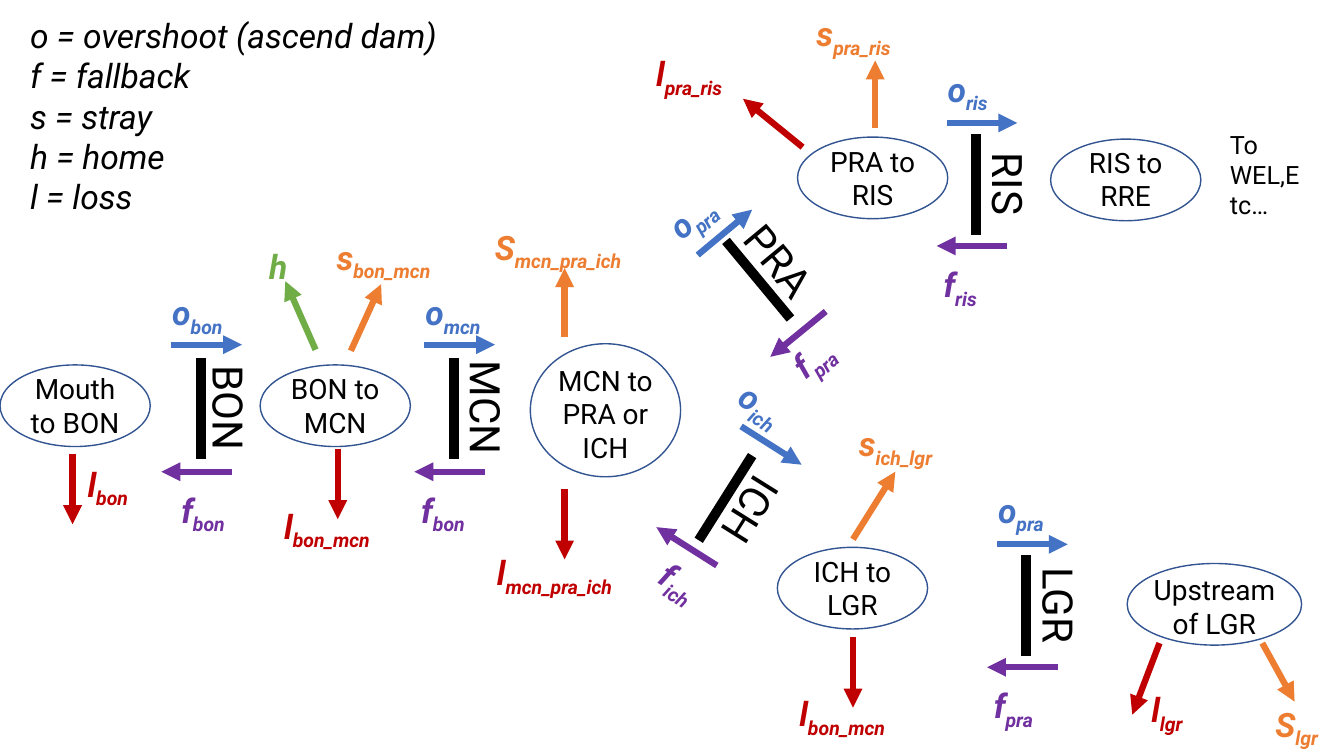
from dataclasses import dataclass

import pptx
import pptx.dml.color
import pptx.enum.shapes
import pptx.enum.text
import pptx.oxml
import pptx.oxml.ns
import pptx.util

Inches = pptx.util.Inches
FONT = "Roboto"
BLACK, OUTLINE = "000000", "325491"
BLUE, PURPLE, RED, ORANGE, GREEN = "4472C4", "7030A0", "C00000", "ED7D31", "70AD47"


@dataclass
class Reach:
    """A river reach: an ellipse with its name centred on it."""
    name: str
    left: float
    top: float
    width: float = 1.49
    height: float = 0.81
    text_width: float = 1.13
    text_height: float = 0.77
    text_shift: float = 0


@dataclass
class Label:
    """A transition symbol with a subscript."""
    symbol: str
    subscript: str
    left: float
    top: float
    width: float
    color: str
    rotation: float = 0


@dataclass
class Line:
    x1: float
    y1: float
    x2: float
    y2: float
    color: str = BLACK


@dataclass
class DamName:
    name: str
    center_x: float
    center_y: float
    rotation: float = 90


@dataclass
class UprightDam:
    """A vertical wall with an overshoot above it and a fallback below it."""
    name: str
    x: float
    top: float
    gap: float
    overshoot: str
    fallback: str
    name_shift: float = 0.32
    fallback_shift: float = -0.42


REACHES = [
    Reach("Mouth to BON", 0, 3.62),
    Reach("BON to MCN", 2.58, 3.62),
    Reach("MCN to PRA or ICH", 5.26, 3.41, height=1.32,
          text_width=1.4, text_height=1.11, text_shift=0.04),
    Reach("PRA to RIS", 7.91, 1.36),
    Reach("ICH to LGR", 7.71, 5.43),
    Reach("Upstream of LGR", 11.18, 5.59, width=1.73, text_width=1.5, text_shift=0.02),
    Reach("RIS to RRE", 10.42, 1.38, text_shift=-0.01),
]

UPRIGHT_DAMS = [
    UprightDam("BON", 1.99, 3.55, 0.13, "bon", "bon", 0.28, -0.29),
    UprightDam("MCN", 4.5, 3.55, 0.13, "mcn", "bon"),
    UprightDam("RIS", 9.68, 1.33, 0.11, "ris", "ris"),
    UprightDam("LGR", 10.18, 5.51, 0.11, "pra", "pra"),
]

TILTED_NAMES = [DamName("ICH", 7.45, 5.06, 122.1), DamName("PRA", 7.73, 2.58, 50.3)]
TILTED_WALLS = [Line(7.46, 4.52, 6.93, 5.36), Line(7.2, 2.39, 7.84, 3.16)]

ARROWS = [
    # Tilted dams
    Line(7.11, 5.61, 6.51, 5.23, PURPLE),
    Line(7.35, 4.23, 7.95, 4.61, BLUE),
    Line(8.19, 3.09, 7.64, 3.54, PURPLE),
    Line(6.92, 2.53, 7.46, 2.08, BLUE),
    # Home, stray and loss
    Line(3.13, 3.47, 2.83, 2.79, GREEN),
    Line(3.48, 3.48, 3.78, 2.82, ORANGE),
    Line(5.6, 3.34, 5.6, 2.66, ORANGE),
    Line(8.46, 5.35, 8.88, 4.68, ORANGE),
    Line(8.68, 1.27, 8.68, 0.6, ORANGE),
    Line(12.52, 6.38, 12.84, 6.96, ORANGE),
    Line(0.72, 4.5, 0.72, 5.2, RED),
    Line(3.35, 4.45, 3.35, 5.15, RED),
    Line(5.6, 4.85, 5.6, 5.55, RED),
    Line(8.46, 6.32, 8.46, 7.02, RED),
    Line(7.96, 1.46, 7.37, 0.98, RED),
    Line(11.5, 6.38, 11.23, 7.09, RED),
]

LABELS = [
    # Tilted dams
    Label("f", "ich", 6.44, 5.56, 0.75, PURPLE, 32.1),
    Label("o", "ich", 7.21, 3.84, 0.95, BLUE, 32.1),
    Label("f", "pra", 7.74, 3.25, 0.75, PURPLE, 320.3),
    Label("o", "pra", 6.49, 1.8, 0.95, BLUE, 320.3),
    # Home, stray and loss
    Label("h", "", 2.57, 2.39, 0.4, GREEN),
    Label("s", "bon_mcn", 3.24, 2.3, 1.46, ORANGE),
    Label("S", "mcn_pra_ich", 4.81, 2.2, 1.82, ORANGE),
    Label("s", "ich_lgr", 8.42, 4.15, 1.46, ORANGE),
    Label("s", "pra_ris", 8, 0.08, 1.46, ORANGE),
    Label("S", "lgr", 12.55, 6.93, 0.82, ORANGE),
    Label("l", "bon", 0.77, 4.55, 0.74, RED),
    Label("l", "bon_mcn", 2.72, 4.97, 1.46, RED),
    Label("l", "mcn_pra_ich", 4.83, 5.43, 1.82, RED),
    Label("l", "bon_mcn", 7.83, 6.83, 1.46, RED),
    Label("l", "pra_ris", 6.41, 0.48, 1.46, RED),
    Label("l", "lgr", 11.32, 6.79, 0.98, RED),
]


def rgb(color: str) -> pptx.dml.color.RGBColor:
    return pptx.dml.color.RGBColor.from_string(color)


def add_text(slide, text: str, left: float, top: float, width: float, height: float,
             size: float, color: str = BLACK, bold: bool = False, italic: bool = False,
             centered: bool = False, rotation: float = 0):
    shape = slide.shapes.add_textbox(Inches(left), Inches(top), Inches(width), Inches(height))
    shape.rotation = rotation
    frame = shape.text_frame
    frame.word_wrap = True
    frame.auto_size = pptx.enum.text.MSO_AUTO_SIZE.SHAPE_TO_FIT_TEXT
    frame.text = text
    for paragraph in frame.paragraphs:
        if centered:
            paragraph.alignment = pptx.enum.text.PP_ALIGN.CENTER
        font = paragraph.font
        font.name, font.size = FONT, pptx.util.Pt(size)
        font.bold, font.italic = bold, italic
        font.color.rgb = rgb(color)
    return shape


def add_line(slide, line: Line, width: float, arrow: bool) -> None:
    connector = slide.shapes.add_connector(
        pptx.enum.shapes.MSO_CONNECTOR.STRAIGHT,
        Inches(line.x1), Inches(line.y1), Inches(line.x2), Inches(line.y2))
    connector.line.color.rgb = rgb(line.color)
    connector.line.width = pptx.util.Pt(width)
    properties = connector.element.spPr
    if arrow:
        head = pptx.oxml.ns.qn("a:tailEnd")
        properties.find(pptx.oxml.ns.qn("a:ln")).makeelement(head)
        connector.line._get_or_add_ln().append(properties.makeelement(head, {"type": "triangle"}))
    properties.append(properties.makeelement(pptx.oxml.ns.qn("a:effectLst")))


def add_label(slide, label: Label) -> None:
    shape = add_text(slide, label.symbol, label.left, label.top, label.width, 0.5, 24,
                     label.color, bold=True, italic=True, rotation=label.rotation)
    if label.subscript:
        run = shape.text_frame.paragraphs[0].add_run()
        run.text = label.subscript
        run.font._element.set("baseline", "-25000")


def add_reach(slide, reach: Reach) -> None:
    ellipse = slide.shapes.add_shape(
        pptx.enum.shapes.MSO_SHAPE.OVAL, Inches(reach.left), Inches(reach.top),
        Inches(reach.width), Inches(reach.height))
    ellipse.shadow.inherit = False
    ellipse.fill.background()
    ellipse.line.color.rgb = rgb(OUTLINE)
    ellipse.line.width = pptx.util.Pt(1)
    left = reach.left + (reach.width - reach.text_width) / 2
    top = reach.top + (reach.height - reach.text_height) / 2 + reach.text_shift
    add_text(slide, reach.name, left, top, reach.text_width, reach.text_height, 20, centered=True)


def add_dam_name(slide, dam: DamName) -> None:
    add_text(slide, dam.name, dam.center_x - 0.62, dam.center_y - 0.3, 1.24, 0.61, 30,
             centered=True, rotation=dam.rotation)


def add_upright_dam(slide, dam: UprightDam) -> None:
    x, top, bottom = dam.x, dam.top, dam.top + 1
    above, below = top - dam.gap, bottom + dam.gap
    add_line(slide, Line(x, top, x, bottom), 7, arrow=False)
    add_dam_name(slide, DamName(dam.name, x + dam.name_shift, top + 0.49))
    add_line(slide, Line(x - 0.29, above, x + 0.41, above, BLUE), 4.5, arrow=True)
    add_line(slide, Line(x + 0.31, below, x - 0.39, below, PURPLE), 4.5, arrow=True)
    add_label(slide, Label("o", dam.overshoot, x - 0.38, top - 0.7, 0.95, BLUE))
    add_label(slide, Label("f", dam.fallback, x + dam.fallback_shift, below + 0.13, 0.8, PURPLE))


def main() -> None:
    presentation = pptx.Presentation()
    presentation.slide_width, presentation.slide_height = Inches(13.33), Inches(7.5)
    slide = presentation.slides.add_slide(presentation.slide_layouts[6])

    # Legend and side note
    legend = "o = overshoot (ascend dam)\nf = fallback\ns = stray\nh = home\nl = loss"
    add_text(slide, legend, 0.2, 0.1, 5.05, 2.12, 24, italic=True)
    add_text(slide, "To WEL,Etc…", 12.1, 1.23, 0.9, 1.01, 18)

    # Reaches and dams
    for reach in REACHES:
        add_reach(slide, reach)
    for dam in UPRIGHT_DAMS:
        add_upright_dam(slide, dam)
    for name in TILTED_NAMES:
        add_dam_name(slide, name)
    for wall in TILTED_WALLS:
        add_line(slide, wall, 7, arrow=False)

    # Transitions
    for arrow in ARROWS:
        add_line(slide, arrow, 4.5, arrow=True)
    for label in LABELS:
        add_label(slide, label)

    presentation.save("out.pptx")


if __name__ == "__main__":
    main()
